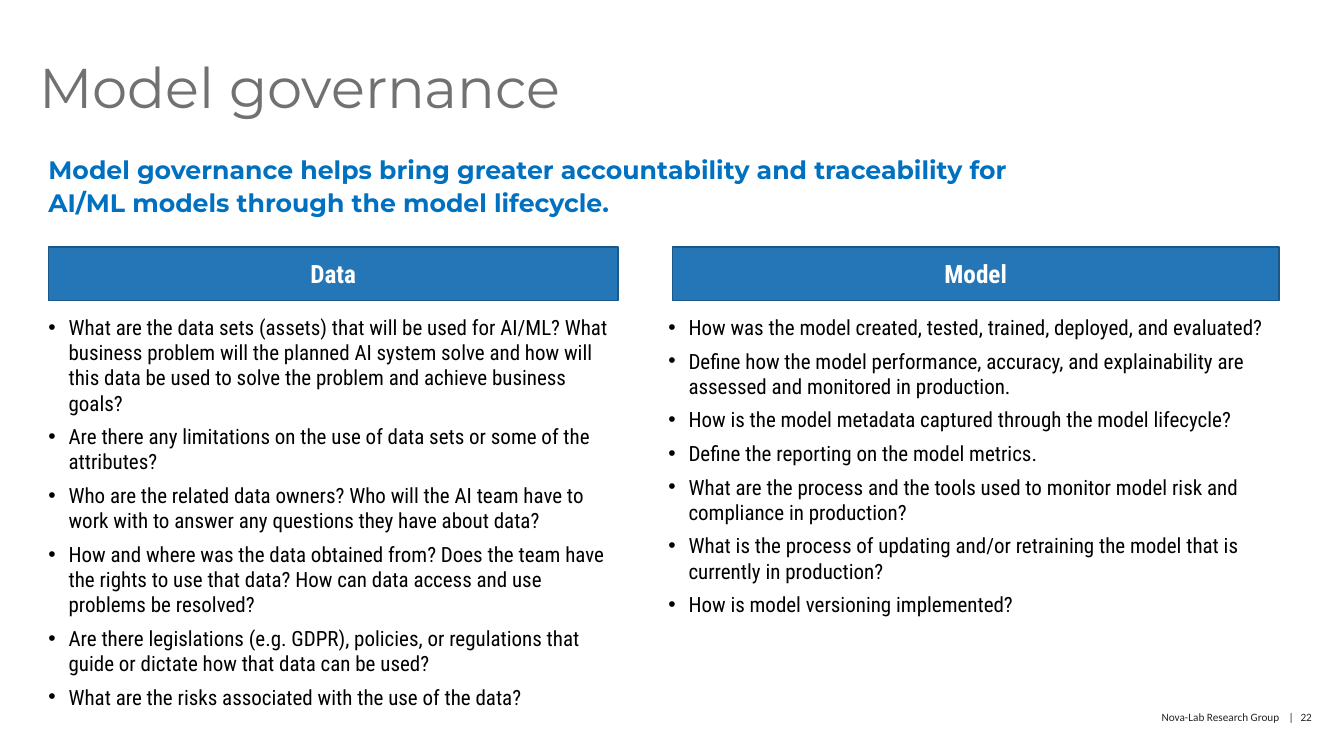
from lxml import etree
from pptx import Presentation
from pptx.dml.color import RGBColor
from pptx.enum import shapes, text
from pptx.oxml import ns
from pptx.util import Pt

GREY = RGBColor(0x71, 0x71, 0x71)
BLUE = RGBColor(0x00, 0x70, 0xC0)
BAR_BLUE = RGBColor(0x25, 0x76, 0xB7)
BAR_EDGE = RGBColor(0x1B, 0x57, 0x87)
WHITE = RGBColor(0xFF, 0xFF, 0xFF)
BLACK = RGBColor(0x00, 0x00, 0x00)
FOOTER_GREY = RGBColor(0x24, 0x24, 0x24)

BAR_TOP, BAR_HEIGHT = 176.4, 38.2
LIST_TOP, LIST_HEIGHT = 224.6, 300

DATA_QUESTIONS = [
    "What are the data sets (assets) that will be used for AI/ML? What business problem will the planned "
    "AI system solve and how will this data be used to solve the problem and achieve business goals?",
    "Are there any limitations on the use of data sets or some of the attributes?",
    "Who are the related data owners? Who will the AI team have to work with to answer any questions "
    "they have about data?",
    "How and where was the data obtained from? Does the team have the rights to use that data? "
    "How can data access and use problems be resolved?",
    "Are there legislations (e.g. GDPR), policies, or regulations that guide or dictate how that data "
    "can be used?",
    "What are the risks associated with the use of the data?",
]
MODEL_QUESTIONS = [
    "How was the model created, tested, trained, deployed, and evaluated?",
    "Define how the model performance, accuracy, and explainability are assessed and monitored in production.",
    "How is the model metadata captured through the model lifecycle?",
    "Define the reporting on the model metrics.",
    "What are the process and the tools used to monitor model risk and compliance in production?",
    "What is the process of updating and/or retraining the model that is currently in production?",
    "How is model versioning implemented?",
]


class SlideBuilder:
    """Holds the style and the current slide; lengths are in points."""

    heading_font = "Montserrat"
    body_font = "Roboto Condensed"
    footer_font = "Calibri"

    def __init__(self, slide):
        self.slide = slide

    def set_font(self, paragraph, name, size, color, bold=False):
        font = paragraph.font
        font.name, font.size, font.bold = name, Pt(size), bold
        font.color.rgb = color

    def clear_frame(self, shape):
        """Top-anchored, wrapping frame without margins or autofit."""
        frame = shape.text_frame
        frame.margin_left = frame.margin_top = frame.margin_right = frame.margin_bottom = 0
        frame.vertical_anchor = text.MSO_ANCHOR.TOP
        frame.auto_size = text.MSO_AUTO_SIZE.NONE
        frame.word_wrap = True
        return frame

    def place(self, index, left, top, width, height):
        """Move a placeholder and return its cleared text frame."""
        shape = self.slide.placeholders[index]
        shape.left, shape.top, shape.width, shape.height = map(Pt, (left, top, width, height))
        return self.clear_frame(shape)

    def heading(self, index, box, words, size, color, spacing, bold=False):
        frame = self.place(index, *box)
        frame.text = words
        paragraph = frame.paragraphs[0]
        paragraph.alignment = text.PP_ALIGN.LEFT
        paragraph.line_spacing = spacing
        paragraph.space_before = Pt(0)
        self.set_font(paragraph, self.heading_font, size, color, bold)

    def bullets(self, index, box, items):
        frame = self.place(index, *box)
        frame.text = "\n".join(items)
        for number, paragraph in enumerate(frame.paragraphs):
            paragraph.space_before = Pt(6 if number else 0)
            properties = paragraph._p.get_or_add_pPr()
            properties.set("marL", str(Pt(14.4)))
            properties.set("indent", str(Pt(-14.4)))
            etree.SubElement(properties, ns.qn("a:buFont"), typeface="Arial")
            etree.SubElement(properties, ns.qn("a:buChar"), char="•")
            self.set_font(paragraph, self.body_font, 15, BLACK)

    def bar(self, label, left, width):
        shape = self.slide.shapes.add_shape(
            shapes.MSO_SHAPE.RECTANGLE, Pt(left), Pt(BAR_TOP), Pt(width), Pt(BAR_HEIGHT))
        shape.shadow.inherit = False
        shape.fill.solid()
        shape.fill.fore_color.rgb = BAR_BLUE
        shape.line.color.rgb = BAR_EDGE
        shape.line.width = Pt(1)
        frame = shape.text_frame
        frame.text = label
        frame.vertical_anchor = text.MSO_ANCHOR.MIDDLE
        paragraph = frame.paragraphs[0]
        paragraph.alignment = text.PP_ALIGN.CENTER
        self.set_font(paragraph, self.body_font, 18, WHITE, bold=True)

    def footer(self, owner, page):
        """Owner ends at a right tab; the divider and page number follow."""
        box = self.slide.shapes.add_textbox(Pt(792), Pt(507.6), Pt(160), Pt(10))
        frame = self.clear_frame(box)
        frame.text = f"\t{owner}\t|\t{page}"
        paragraph = frame.paragraphs[0]
        tabs = etree.SubElement(paragraph._p.get_or_add_pPr(), ns.qn("a:tabLst"))
        for position, alignment in ((122, "r"), (128.5, "l"), (137, "l")):
            etree.SubElement(tabs, ns.qn("a:tab"), pos=str(Pt(position)), algn=alignment)
        self.set_font(paragraph, self.footer_font, 8, FOOTER_GREY)


def main():
    presentation = Presentation()
    presentation.slide_width, presentation.slide_height = Pt(960), Pt(540)
    comparison = presentation.slide_layouts[4]
    slide = presentation.slides.add_slide(comparison)
    unused = slide.placeholders[3].element
    unused.getparent().remove(unused)

    builder = SlideBuilder(slide)
    builder.footer("Nova-Lab Research Group", 22)
    builder.heading(0, (28, 43.2, 891.4, 55.4), "Model governance", 40, GREY, 0.9)
    builder.heading(
        1, (34.6, 108, 742.3, 52.6),
        "Model governance helps bring greater accountability and traceability for AI/ML models "
        "through the model lifecycle.",
        18, BLUE, 1.1, bold=True)
    builder.bullets(2, (34.6, LIST_TOP, 406.8, LIST_HEIGHT), DATA_QUESTIONS)
    builder.bullets(4, (477.4, LIST_TOP, 436.3, LIST_HEIGHT), MODEL_QUESTIONS)
    builder.bar("Data", 34.6, 406.8)
    builder.bar("Model", 480.2, 433.5)
    presentation.save("out.pptx")


if __name__ == "__main__":
    main()
